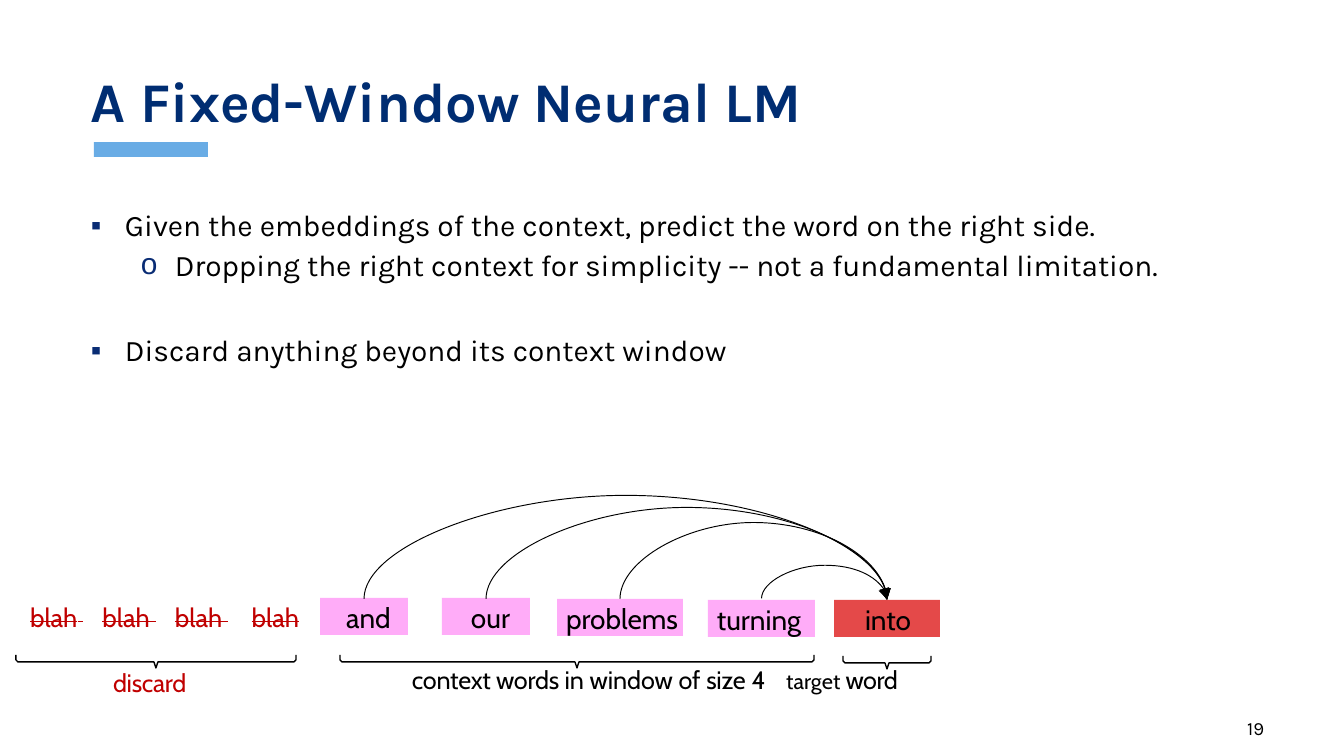
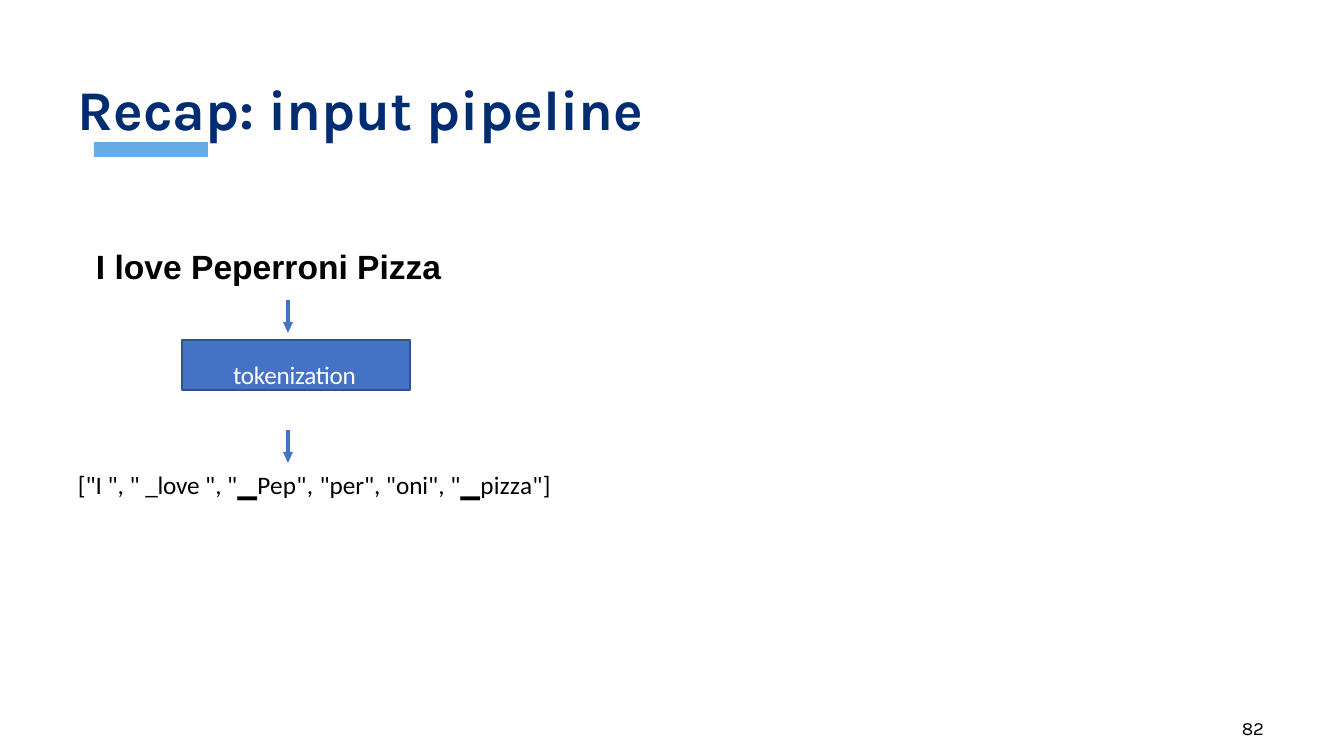
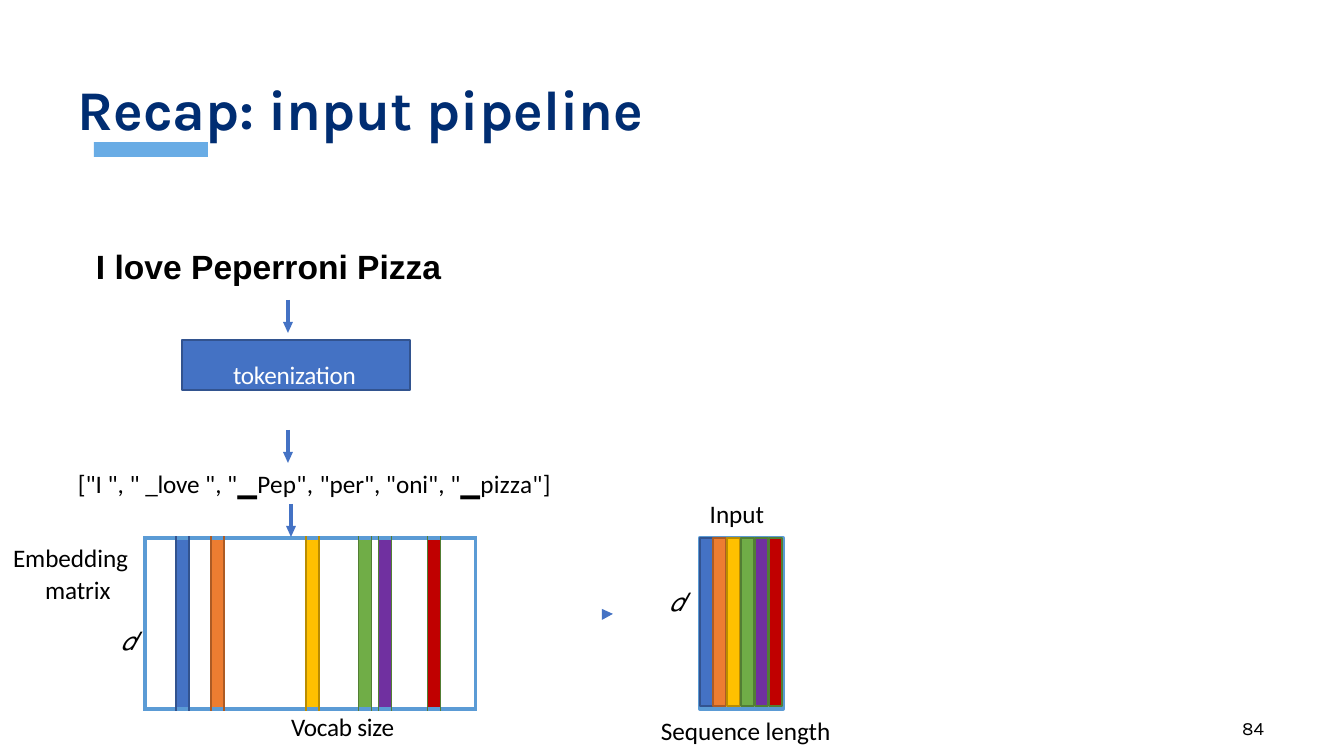
"""Build three slides on a fixed-window language model and its input pipeline."""
import pptx
import pptx.util
import pptx.dml.color
import pptx.enum.shapes
import pptx.enum.text
import pptx.oxml.ns
from lxml import etree

SCALE = 914400 / 134.4
HUES = {
    "black": "000000", "white": "FFFFFF", "navy": "002D72", "mark": "092C74",
    "bar": "69ACE5", "pink": "FFACF8", "coral": "E44949", "red": "C00000",
    "blue": "4472C4", "orange": "ED7D31", "gold": "FFC000", "green": "70AD47",
    "plum": "7030A0", "sky": "5B9BD5", "dusk": "32538F", "rust": "AD5B24",
    "ochre": "BA8C00", "moss": "527E34",
}
BANDS = [("blue", "dusk"), ("orange", "rust"), ("gold", "ochre"),
         ("green", "moss"), ("plum", "moss"), ("red", "moss")]
ALIGN = {"l": pptx.enum.text.PP_ALIGN.LEFT, "c": pptx.enum.text.PP_ALIGN.CENTER,
         "r": pptx.enum.text.PP_ALIGN.RIGHT}
ANCHOR = {"t": pptx.enum.text.MSO_ANCHOR.TOP, "m": pptx.enum.text.MSO_ANCHOR.MIDDLE,
          "b": pptx.enum.text.MSO_ANCHOR.BOTTOM}
RECT = pptx.enum.shapes.MSO_SHAPE.RECTANGLE
LINK = pptx.enum.shapes.MSO_CONNECTOR
PAD = (13, 7, 13, 7)
TIGHT = (0, 1, 0, 0)
Pt = pptx.util.Pt
BODY = dict(size=13.5, font="Calibri")
CABIN = dict(size=13.5, font="Cabin", lead=Pt(15.8))


def px(num):
    """Turn pixels into EMU."""
    return pptx.util.Emu(round(num * SCALE))


def rgb(hue):
    """Look up a named colour."""
    return pptx.dml.color.RGBColor.from_string(HUES[hue])


def node(top, tag, **attrs):
    """Append a DrawingML element."""
    item = etree.SubElement(top, pptx.oxml.ns.qn("a:" + tag))
    for key, val in attrs.items():
        item.set(key, str(val))
    return item


def run(text, **attrs):
    """Pair a piece of text with its run attributes."""
    return text, attrs


TOKENS = [
    run('["I ", " '), run("_love", spc=-10), run(' ", '), run('"', spc=20),
    run("▁", spc=20, font="Cambria"), run('Pep", ', spc=20),
    run('"per", "oni", '), run('"', spc=20),
    run("▁", spc=20, font="Cambria"), run('pizza"]', spc=20),
]


def say(frame, runs, size, font, hue="black", al="l", mar=0, ind=0,
        before=0, lead=None, mark=None, tabs=()):
    """Write one paragraph run by run."""
    para = frame.paragraphs[0]
    if para.runs:
        para = frame.add_paragraph()
    props = para._p.get_or_add_pPr()
    props.set("marL", str(px(mar)))
    props.set("indent", str(px(ind)))
    if mark:
        node(node(props, "buClr"), "srgbClr", val=HUES["mark"])
        node(props, "buFont", typeface="Arial")
        node(props, "buChar", char=mark)
    if tabs:
        stops = node(props, "tabLst")
        for stop in tabs:
            node(stops, "tab", pos=px(stop), algn="l")
    para.alignment = ALIGN[al]
    if before:
        para.space_before = Pt(before)
    if lead:
        para.line_spacing = lead
    for text, attrs in runs:
        piece = para.add_run()
        piece.text = text
        piece.font.size = Pt(size)
        piece.font.name = attrs.get("font", font)
        piece.font.color.rgb = rgb(hue)
        for key, val in attrs.items():
            if key != "font":
                piece._r.get_or_add_rPr().set(key, str(val))


def setup(frame, pad, anchor):
    """Set the wrapping, insets and anchor of a text frame."""
    frame.word_wrap = True
    frame.vertical_anchor = ANCHOR[anchor]
    (frame.margin_left, frame.margin_top,
     frame.margin_right, frame.margin_bottom) = map(px, pad)
    return frame


def label(slide, box, runs=(), pad=TIGHT, anchor="t", **style):
    """Add a text box and return its frame."""
    frame = slide.shapes.add_textbox(*map(px, box)).text_frame
    setup(frame, pad, anchor)
    if runs:
        say(frame, runs, **style)
    return frame


def paint(shape, fill=None, edge=None, width=1):
    """Set fill and outline, and drop the shadow."""
    shape.shadow.inherit = False
    if fill:
        shape.fill.solid()
        shape.fill.fore_color.rgb = rgb(fill)
    else:
        shape.fill.background()
    if edge:
        shape.line.color.rgb = rgb(edge)
        shape.line.width = Pt(width)
    else:
        shape.line.fill.background()


def block(slide, box, fill=None, edge=None, width=1):
    """Add a rectangle."""
    shape = slide.shapes.add_shape(RECT, *map(px, box))
    paint(shape, fill, edge, width)
    return shape


def trace(slide, points, close):
    """Add a freeform through the points."""
    pen = slide.shapes.build_freeform(*points[0], scale=SCALE)
    pen.add_line_segments(points[1:], close=close)
    return pen.convert_to_shape()


def link(slide, kind, ends, hue, width):
    """Add a connector without a shadow."""
    line = slide.shapes.add_connector(kind, *map(px, ends))
    line.line.color.rgb = rgb(hue)
    line.line.width = Pt(width)
    node(line._element.spPr, "effectLst")
    return line


def brace(slide, left, top, wide):
    """Draw a flat brace that points down."""
    mid = wide // 2
    steps = [(0, 0), (0, 5), (2, 7), (mid - 2, 7), (mid, 13),
             (mid + 2, 7), (wide - 2, 7), (wide, 5), (wide, 0)]
    shape = trace(slide, [(left + x, top + y) for x, y in steps], False)
    paint(shape, edge="black", width=0.75)


def arc(slide, start, end, base, rise):
    """Draw a curved arrow over the words, with its head at the start."""
    span = start - end
    mid, top = (start + end) // 2, base - span // 2
    line = link(slide, LINK.CURVE, (mid, top + span, mid + 1, top), "black", 0.5)
    props = line._element.spPr
    props.find(pptx.oxml.ns.qn("a:xfrm")).set("rot", "16200000")
    guides = props.find(".//" + pptx.oxml.ns.qn("a:avLst"))
    node(guides, "gd", name="adj1", fmla=f"val {rise * 100000}")
    node(line.line._get_or_add_ln(), "headEnd", type="triangle")


def arrow(slide, mid, top):
    """Draw a short arrow pointing down."""
    link(slide, LINK.STRAIGHT, (mid, top, mid, top + 22), "blue", 2.25)
    tip = [(mid - 5, top + 22), (mid + 5, top + 22), (mid, top + 33)]
    paint(trace(slide, tip, True), "blue")


def base(deck, title, page, pad=PAD, lead=None):
    """Add a slide with the shared bar, title and page number."""
    slide = deck.slides.add_slide(deck.slide_layouts[6])
    block(slide, (94, 142, 114, 15), "bar")
    label(slide, (1160, 715, 117, 26), [run(str(page))], PAD, "m",
          size=10, font="Karla", al="r")
    label(slide, (78, 16, 1188, 126), title, pad, "b",
          size=30, font="Karla", hue="navy", lead=lead)
    return slide


def window(deck):
    """Build the fixed-window slide."""
    slide = base(deck, [run("A Fixed-Window Neural LM", b=1)], 19, lead=0.9)
    frame = label(slide, (78, 204, 1188, 453), pad=PAD)
    points = [
        ("Given the embeddings of the context, predict the word on the right side.",
         34, "▪", 0),
        ("Dropping the right context for simplicity -- not a fundamental limitation.",
         84, "o", 3.8),
        ("Discard anything beyond its context window", 34, "▪", 28.5),
    ]
    for text, mar, mark, before in points:
        say(frame, [run(text)], 16, "Karla", mar=mar, ind=-34, mark=mark,
            before=before, lead=0.9)
    words = [("and", 320, 598, 88, "pink", "c", 9, 104),
             ("our", 442, 598, 88, "pink", "c", 9, 92),
             ("problems", 557, 599, 126, "pink", "l", 9, 77),
             ("turning", 708, 600, 107, "pink", "l", 9, 34),
             ("into", 834, 600, 106, "coral", "l", 31, 0)]
    for word, left, top, wide, fill, al, mar, rise in words:
        shape = block(slide, (left, top, wide, 37), fill)
        say(setup(shape.text_frame, (0, 3, 0, 0), "t"), [run(word)],
            15, "Cabin", al=al, mar=mar)
        if rise:
            arc(slide, 887, left + wide // 2, 599, rise)
    for left, top, wide in [(340, 655, 474), (843, 656, 88), (16, 655, 280)]:
        brace(slide, left, top, wide)
    caption = [run("context words ", spc=-10), run("in window of "),
               run("size", spc=-10), run(" 4\t", spc=10),
               run("target ", sz=2020, baseline=2000), run("word", spc=-20)]
    label(slide, (383, 665, 726, 34), caption, (0, 3, 0, 0), ind=29,
          tabs=[440], **CABIN)
    label(slide, (113, 665, 90, 34), [run("discard", spc=-10)], (0, 3, 0, 0),
          hue="red", **CABIN)
    blahs = [run("blah", strike="sngStrike")]
    for gap in (1020, 1020, 1250):
        blahs += [run(" ", strike="sngStrike", spc=gap), blahs[0]]
    label(slide, (17, 594, 306, 46), blahs, PAD, size=14, font="Cabin", hue="red")


def recap(deck, page):
    """Build the shared part of the pipeline slides."""
    title = [run("Recap: ", b=1, spc=-10), run("input pipeline", b=1)]
    slide = base(deck, title, page, TIGHT)
    label(slide, (95, 245, 348, 42), [run("I love Peperroni Pizza", b=1)],
          size=18, font="Arial", mar=1)
    shape = block(slide, (182, 340, 228, 50), "blue", "dusk")
    say(setup(shape.text_frame, (0, 19, 0, 0), "t"),
        [run("tokenization", spc=-10)], hue="white", mar=51, **BODY)
    arrow(slide, 288, 300)
    arrow(slide, 288, 430)
    return slide


def grid(slide):
    """Add the embedding matrix as a one-row table."""
    wides = [31, 13, 22, 13, 82, 13, 40, 13, 7, 13, 36, 13, 35]
    edges = ["sky"] + [edge for _, edge in BANDS for _ in "lr"] + ["sky"]
    box = (145, 538, sum(wides), 171)
    table = slide.shapes.add_table(1, len(wides), *map(px, box)).table
    table.first_row = table.horz_banding = False
    for col, wide in enumerate(wides):
        table.columns[col].width = px(wide)
        cell = table.cell(0, col)
        cell.margin_left = cell.margin_right = 0
        if col % 2:
            cell.fill.solid()
            cell.fill.fore_color.rgb = rgb(BANDS[col // 2][0])
        else:
            cell.fill.background()
        props = cell._tc.get_or_add_tcPr()
        sides = [("lnL", edges[col]), ("lnR", edges[col + 1]),
                 ("lnT", "sky"), ("lnB", "sky")]
        for spot, (side, hue) in enumerate(sides):
            line = node(props, side, w=Pt(2.25 if hue == "sky" else 1))
            node(node(line, "solidFill"), "srgbClr", val=HUES[hue])
            props.insert(spot, line)


def embed(deck):
    """Build the slide that ends in the input matrix."""
    slide = recap(deck, 84)
    grid(slide)
    label(slide, (290, 710, 112, 32), [run("Vocab size", spc=-10)], mar=1, **BODY)
    side = label(slide, (12, 540, 124, 118), [run("Embedding matrix")],
                 mar=33, ind=-32, lead=1.06, **BODY)
    say(side, [run("𝑑", i=1, spc=-300)], 13.5, "Arial", al="r", before=11)
    arrow(slide, 291, 504)
    top = label(slide, (77, 468, 687, 62), TOKENS, mar=1, lead=Pt(16), **BODY)
    say(top, [run("Input")], al="r", lead=Pt(16), **BODY)
    paint(trace(slide, [(602, 609), (602, 620), (613, 614)], True), "blue")
    block(slide, (700, 538, 83, 171), None, "sky", 2.25)
    label(slide, (660, 714, 180, 32), [run("Sequence length")], mar=1, **BODY)
    label(slide, (669, 585, 22, 32), [run("𝑑", i=1, spc=-390)],
          size=13.5, font="Arial", mar=1)
    for spot, (fill, edge) in enumerate(BANDS):
        block(slide, (700 + spot * 69 // 5, 538, 13, 168), fill, edge)


def main():
    """Build and save the deck."""
    deck = pptx.Presentation()
    deck.slide_width, deck.slide_height = px(1344), px(756)
    window(deck)
    label(recap(deck, 82), (77, 468, 484, 32), TOKENS, mar=1, **BODY)
    embed(deck)
    deck.save("out.pptx")


if __name__ == "__main__":
    main()
